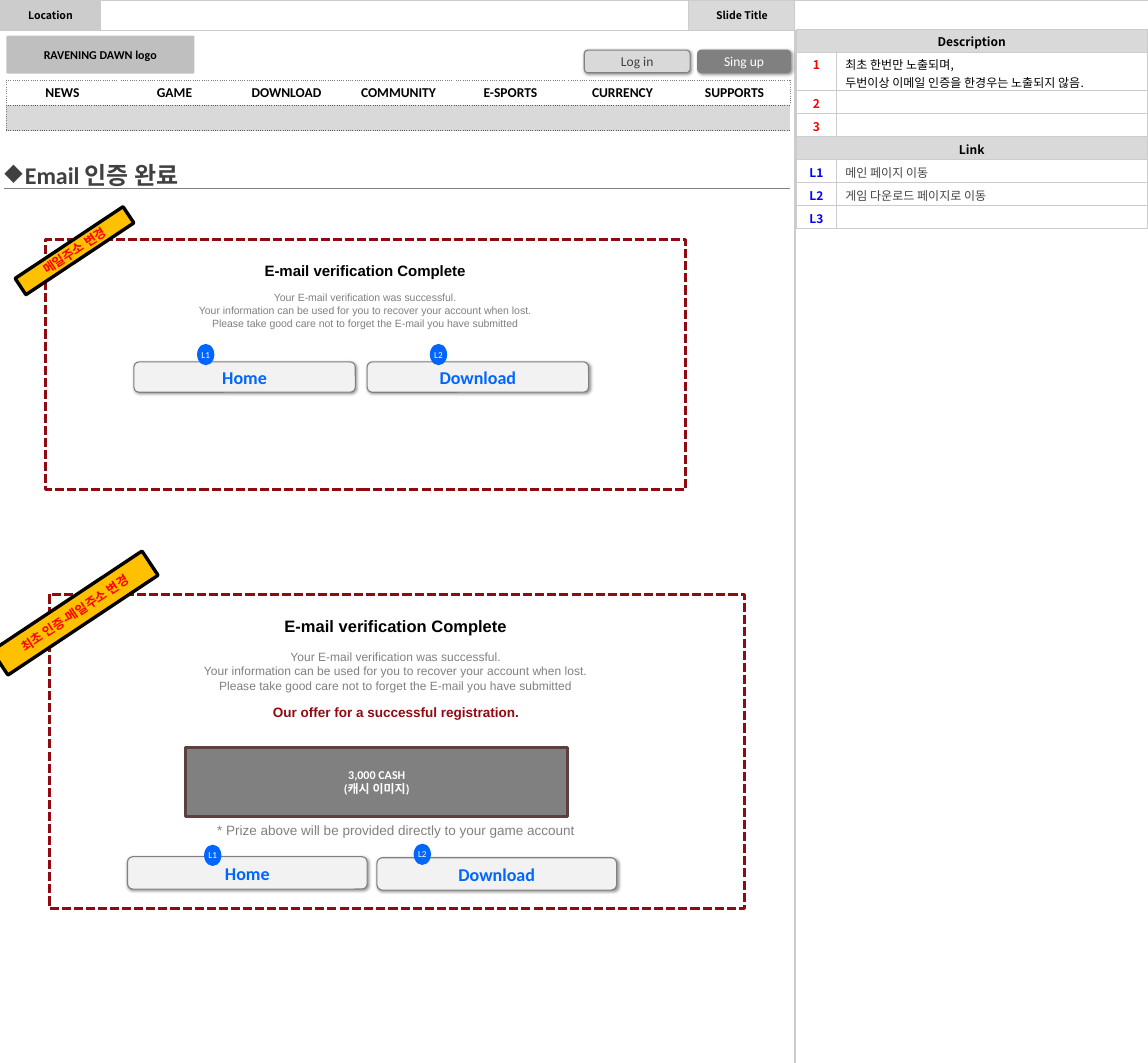
from lxml.etree import SubElement
from pptx import Presentation
from pptx.dml.color import RGBColor
from pptx.enum.dml import MSO_LINE
from pptx.enum.shapes import MSO_CONNECTOR, MSO_SHAPE
from pptx.enum.text import MSO_ANCHOR, MSO_AUTO_SIZE, PP_ALIGN
from pptx.oxml.ns import qn
from pptx.util import Pt

COLORS = {
    "black": "000000", "white": "FFFFFF", "ink": "404040", "note": "434343",
    "gray": "808080", "dots": "595959", "logo": "BFBFBF", "rule": "CCCCCC",
    "head": "D9D9D9", "button": "F2F2F2", "maroon": "910A10", "prize": "5D3F3E",
    "amber": "FFC000", "red": "FF0000", "link": "0000FF", "blue": "0066FF",
}
KOREAN = "Noto Sans CJK KR"

# Content; every box is left, top, width, height in points
TOP_BAR = [("Location", "rule", 67.3), ("", "white", 392),
           ("Slide Title", "head", 70.7), ("", "white", 235.4)]
LOGO = ("RAVENING DAWN logo", (4.3, 23.8, 125.3, 25.2))
ACCOUNT = [("Log in", "head", "ink", (389.5, 33.4, 70.6, 15.1)),
           ("Sing up", "gray", "white", (465.1, 33.4, 61.9, 15.1))]
MENU = ["NEWS", "GAME", "DOWNLOAD", "COMMUNITY", "E-SPORTS", "CURRENCY", "SUPPORTS"]
TITLE = "Email 인증 완료"
NOTES = [  # label, label colour, note, note colour; no label colour means heading
    ("Description", None, "", "black"),
    ("1", "red", "최초 한번만 노출되며,\n두번이상 이메일 인증을 한경우는 노출되지 않음.", "black"),
    ("2", "red", "", "black"),
    ("3", "red", "", "black"),
    ("Link", None, "", "black"),
    ("L1", "link", "메인 페이지 이동", "note"),
    ("L2", "link", "게임 다운로드 페이지로 이동", "note"),
    ("L3", "link", "", "note"),
]
HEADLINE = "E-mail verification Complete"
MESSAGE = ("Your E-mail verification was successful.\n"
           "Your information can be used for you to recover your account when lost.\n"
           "Please take good care not to forget the E-mail you have submitted")
OFFER = "Our offer for a successful registration."
PRIZE = ("3,000 CASH\n(캐시 이미지)", (123.8, 498.2, 254.9, 46.1))
PRIZE_NOTE = ("* Prize above will be provided directly to your game account",
              (36, 544.3, 455.8, 18.7))
PANELS = [
    {"frame": (30.2, 159.8, 427, 166.3), "copy": (33.1, 170.6, 420.5, 61.9),
     "headline": 10, "message": 7, "offer": "",
     "sticker": ("메일주소 변경", "Calibri", (6.5, 160.6, 86.4, 13)),
     "buttons": [("Home", (89.3, 241.2, 147.6, 20.2)),
                 ("Download", (244.8, 241.2, 147.6, 20.2))],
     "badges": [("L1", 131.4, 229.2), ("L2", 286.6, 229.2)]},
    {"frame": (33.1, 396, 463, 209.5), "copy": (36, 406.8, 455.8, 80.6),
     "headline": 11, "message": 8, "offer": OFFER,
     "sticker": ("최초 인증-메일주소 변경", "Arial", (-10.1, 398.9, 120.2, 19.4)),
     "buttons": [("Home", (85, 571, 159.8, 21.6)),
                 ("Download", (251.3, 571.7, 159.8, 21.6))],
     "badges": [("L1", 136.1, 563), ("L2", 275.8, 562.3)]},
]


def rgb(color):
    return RGBColor.from_string(COLORS[color])


def write(frame, text, size=8, font="Calibri", color="black", bold=False,
          align=PP_ALIGN.CENTER, gap=0, append=False):
    """Write the lines of text, with a gap above the first one."""
    for number, line in enumerate(text.split("\n")):
        paragraph = frame.add_paragraph() if append or number else frame.paragraphs[0]
        paragraph.alignment = align
        paragraph.space_before = Pt(0 if number else gap)
        if not line:
            paragraph._p.get_or_add_endParaRPr().set("sz", str(size * 100))
            continue
        run = paragraph.add_run()
        run.text = line
        run.font.size, run.font.name, run.font.bold = Pt(size), font, bold
        run.font.color.rgb = rgb(color)
        SubElement(run._r.get_or_add_rPr(), qn("a:ea"), typeface=KOREAN)


def add_box(box, fill=None, line=None, width=0.75, kind=MSO_SHAPE.RECTANGLE,
            corner=None, shadow=False):
    shape = slide.shapes.add_shape(kind, *map(Pt, box))
    shape.shadow.inherit = False
    if corner is not None:
        shape.adjustments[0] = corner
    if fill:
        shape.fill.solid()
        shape.fill.fore_color.rgb = rgb(fill)
    else:
        shape.fill.background()
    if line:
        shape.line.color.rgb = rgb(line)
        shape.line.width = Pt(width)
    else:
        shape.line.fill.background()
    if shadow:
        effects = shape._element.spPr.find(qn("a:effectLst"))
        outer = SubElement(effects, qn("a:outerShdw"), blurRad=str(Pt(2)),
                           dist=str(Pt(1)), dir="2700000", algn="tl", rotWithShape="0")
        tone = SubElement(outer, qn("a:srgbClr"), val=COLORS["black"])
        SubElement(tone, qn("a:alpha"), val="40000")
    frame = shape.text_frame
    frame.margin_left = frame.margin_right = frame.margin_top = frame.margin_bottom = 0
    frame.word_wrap = False
    frame.vertical_anchor = MSO_ANCHOR.MIDDLE
    return shape


def add_button(text, box, fill, color, size, bold=False):
    button = add_box(box, fill, "gray", kind=MSO_SHAPE.ROUNDED_RECTANGLE,
                     corner=0.167, shadow=True)
    write(button.text_frame, text, size=size, color=color, bold=bold)


def add_copy(box):
    frame = slide.shapes.add_textbox(*map(Pt, box)).text_frame
    frame.word_wrap = True
    return frame


def add_line(x1, y1, x2, y2, color):
    line = slide.shapes.add_connector(MSO_CONNECTOR.STRAIGHT, Pt(x1), Pt(y1), Pt(x2), Pt(y2))
    line.line.color.rgb = rgb(color)
    line.line.width = Pt(0.75)
    SubElement(line._element.spPr, qn("a:effectLst"))


def add_grid(left, top, widths, heights):
    grid = slide.shapes.add_table(len(heights), len(widths), Pt(left), Pt(top),
                                  Pt(sum(widths)), Pt(sum(heights))).table
    grid.first_row = grid.horz_banding = False
    for column, width in zip(grid.columns, widths):
        column.width = Pt(width)
    for row, height in zip(grid.rows, heights):
        row.height = Pt(height)
    return grid


def style_cell(cell, fill, borders, margins, dash="solid"):
    cell.margin_left, cell.margin_top, cell.margin_right, cell.margin_bottom = map(Pt, margins)
    cell.fill.solid()
    cell.fill.fore_color.rgb = rgb(fill)
    properties = cell._tc.get_or_add_tcPr()
    for place, side in enumerate(side for side in "LRTB" if side in borders):
        edge = SubElement(properties, qn("a:ln" + side), w=str(Pt(0.75)))
        SubElement(SubElement(edge, qn("a:solidFill")), qn("a:srgbClr"),
                   val=COLORS[borders[side]])
        SubElement(edge, qn("a:prstDash"), val=dash)
        properties.insert(place, edge)


deck = Presentation()
deck.slide_width, deck.slide_height = Pt(765.36), Pt(708.48)
slide = deck.slides.add_slide(deck.slide_layouts[5])
RULES = dict.fromkeys("LRTB", "rule")

# Top bar and column divider
bar = add_grid(0, 0, [width for _, _, width in TOP_BAR], [20.6])
for cell, (text, fill, _) in zip(bar.rows[0].cells, TOP_BAR):
    style_cell(cell, fill, RULES, (7.9, 5, 7.9, 5))
    write(cell.text_frame, text, size=7, font=KOREAN, bold=True)
add_line(530, 708.48, 530, 20.2, "rule")

# Logo place, menu and account buttons
logo_text, logo_box = LOGO
logo = add_box(logo_box, "logo", kind=MSO_SHAPE.ROUNDED_RECTANGLE, corner=0.036)
write(logo.text_frame, logo_text, bold=True)
menu = add_grid(4.3, 53.6, [522.7 / len(MENU)] * len(MENU), [16.7, 16.7])
menu.cell(1, 0).merge(menu.cell(1, len(MENU) - 1))
for column, entry in enumerate(MENU):
    sides = {"L": "gray"} if column == 0 else {"R": "gray"} if entry == MENU[-1] else {}
    for row, (fill, text, top) in enumerate([("white", entry, "gray"), ("head", "", "dots")]):
        cell = menu.cell(row, column)
        style_cell(cell, fill, {**sides, "T": top, "B": "dots"}, (0, 2.5, 0, 2.5), "sysDot")
        cell.vertical_anchor = MSO_ANCHOR.MIDDLE
        write(cell.text_frame, text, size=9, bold=True)
for text, fill, color, box in ACCOUNT:
    add_button(text, box, fill, color, 9)

# Title with its bullet and rule
title = slide.shapes.title
title.left, title.top, title.width, title.height = map(Pt, (2.9, 106.6, 124.6, 19.4))
heading = title.text_frame
heading.margin_left = heading.margin_right = heading.margin_top = heading.margin_bottom = 0
heading.auto_size, heading.word_wrap = MSO_AUTO_SIZE.NONE, False
heading.vertical_anchor = MSO_ANCHOR.MIDDLE
write(heading, TITLE, size=16, color="ink", bold=True, align=PP_ALIGN.LEFT)
bullet = heading.paragraphs[0]._p.get_or_add_pPr()
bullet.set("marL", str(Pt(13.7)))
bullet.set("indent", str(Pt(-13.7)))
SubElement(bullet, qn("a:buChar"), char="◆")
add_line(2.9, 125.6, 527, 125.6, "gray")

# Description and link notes
notes = add_grid(530.8, 19.6, [27, 207.2], [25 if "\n" in n[2] else 15.33 for n in NOTES])
for row, (label, color, note, note_color) in enumerate(NOTES):
    name, detail = notes.cell(row, 0), notes.cell(row, 1)
    for cell in (name, detail):
        style_cell(cell, "white" if color else "head", RULES, (5.8, 2.4, 5.8, 0))
    write(name.text_frame, label, font=KOREAN, color=color or "black", bold=True)
    write(detail.text_frame, note, font=KOREAN, color=note_color, align=PP_ALIGN.LEFT)
    if not color:
        name.merge(detail)

# Verification panels
for panel in PANELS:
    outline = add_box(panel["frame"], line="maroon", width=2)
    outline.line.dash_style = MSO_LINE.SQUARE_DOT
    message = add_copy(panel["copy"])
    write(message, HEADLINE, size=panel["headline"], font="Arial", bold=True)
    write(message, MESSAGE, size=panel["message"], font="Arial", color="gray",
          gap=panel["message"] * 1.15, append=True)
    if panel["offer"]:
        write(message, panel["offer"], size=9, font="Arial", color="maroon", bold=True,
              gap=8, append=True)
        prize_text, prize_box = PRIZE
        prize = add_box(prize_box, "gray", "prize", 2)
        write(prize.text_frame, prize_text, color="white", bold=True)
        note_text, note_box = PRIZE_NOTE
        write(add_copy(note_box), note_text, size=9, font="Arial", color="gray")
    sticker_text, sticker_font, sticker_box = panel["sticker"]
    sticker = add_box(sticker_box, "amber", "black", 2.25,
                      MSO_SHAPE.ROUNDED_RECTANGLE, 0.036)
    sticker.rotation = 326.4
    write(sticker.text_frame, sticker_text, size=8.4, font=sticker_font, color="red", bold=True)
    for text, box in panel["buttons"]:
        add_button(text, box, "button", "blue", 12, bold=True)
    for text, left, top in panel["badges"]:
        badge = add_box((left, top, 11.5, 14.2), "blue", kind=MSO_SHAPE.OVAL)
        write(badge.text_frame, text, size=6.1, color="white")

deck.save("out.pptx")
